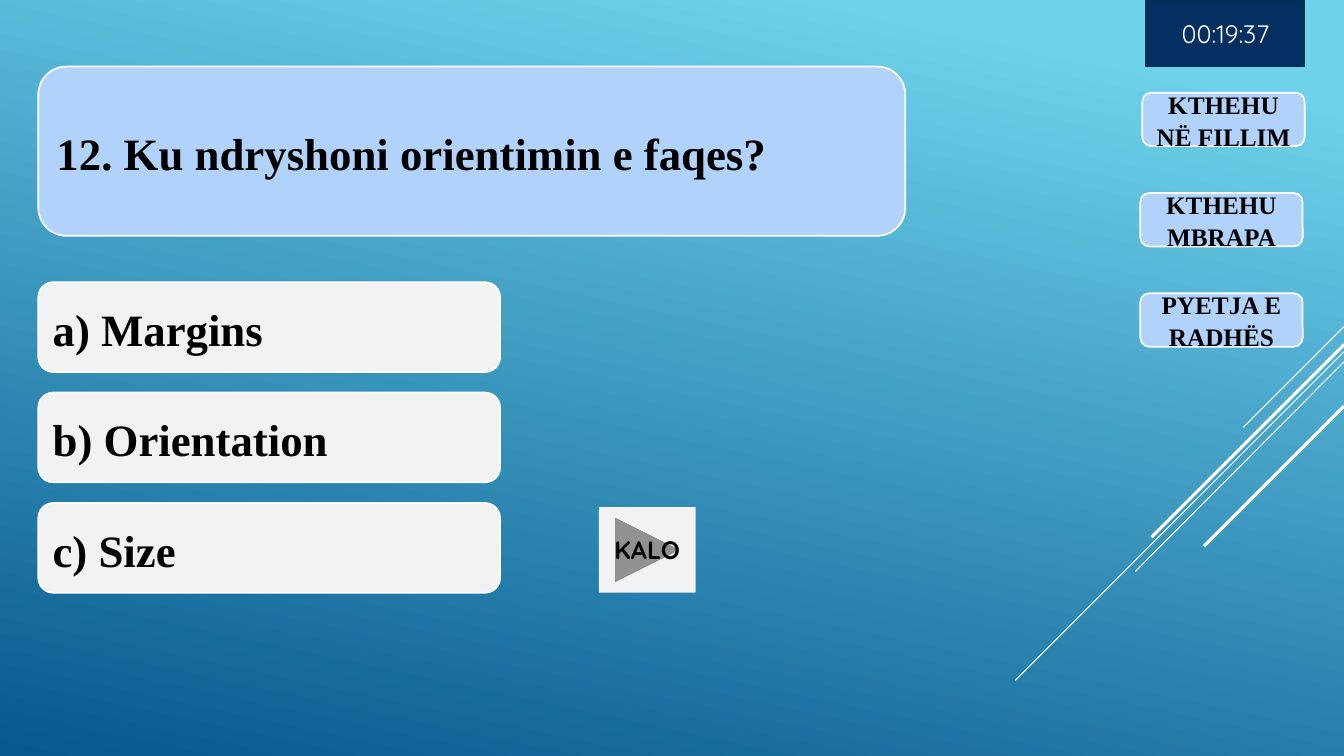
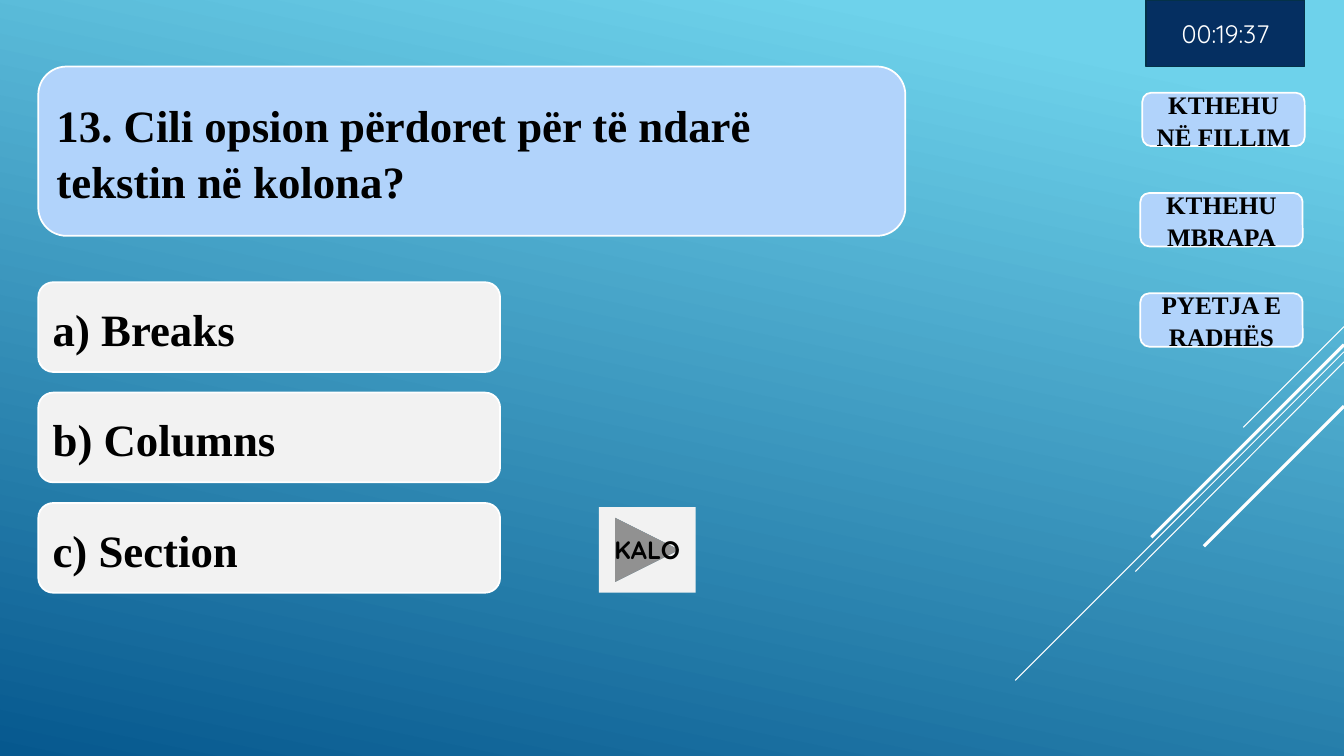
from lxml.etree import SubElement
from pptx import Presentation
from pptx.dml.color import RGBColor
from pptx.enum.shapes import MSO_CONNECTOR, MSO_SHAPE
from pptx.enum.text import MSO_ANCHOR, PP_ALIGN
from pptx.oxml.ns import qn
from pptx.util import Inches, Pt

WHITE, BLACK = "FFFFFF", "000000"
SKY, DEEP_BLUE = "6ED2EB", "06588E"
PALE_BLUE, PALE_GREY = "B1D3FB", "F2F2F2"
NAVY, NAVY_EDGE = "052F61", "043148"
SERIF, SANS = "Times New Roman", "Quicksand"

SLIDE_WIDTH, SLIDE_HEIGHT = 13.33, 7.5
LEFT_MARGIN = 0.38
ANSWER_TOP, ANSWER_STEP = 2.8, 1.095
NAV_TOP, NAV_STEP = 0.92, 0.995

# Start height at the right edge, end point, width in points
RAYS = [
    (3.24, 12.33, 4.24, 0.75),
    (3.49, 10.07, 6.75, 0.75),
    (3.59, 11.26, 5.67, 0.75),
    (3.42, 11.42, 5.33, 2.25),
    (4.03, 11.94, 5.42, 2.25),
]
NAVIGATION = [
    ("KTHEHU NË FILLIM", 11.33),
    ("KTHEHU MBRAPA", 11.31),
    ("PYETJA E RADHËS", 11.31),
]
QUESTIONS = [
    ("12. Ku ndryshoni orientimin e faqes?",
     ["a) Margins", "b) Orientation", "c) Size"]),
    ("13. Cili opsion përdoret për të ndarë tekstin në kolona?",
     ["a) Breaks", "b) Columns", "c) Section"]),
]


def rgb(value):
    return RGBColor.from_string(value)


def write(shape, text, size=18, font=SERIF, color=BLACK, bold=True,
          align=PP_ALIGN.CENTER, spacing=1.05):
    frame = shape.text_frame
    frame.word_wrap = True
    frame.vertical_anchor = MSO_ANCHOR.MIDDLE
    paragraph = frame.paragraphs[0]
    paragraph.alignment = align
    paragraph.line_spacing = spacing
    run = paragraph.add_run()
    run.text = text
    run.font.size = Pt(size)
    run.font.name = font
    run.font.bold = bold
    run.font.color.rgb = rgb(color)


def add_box(slide, box, text, fill, edge=WHITE,
            preset=MSO_SHAPE.ROUNDED_RECTANGLE, **text_format):
    shape = slide.shapes.add_shape(preset, *map(Inches, box))
    shape.shadow.inherit = False
    shape.fill.solid()
    shape.fill.fore_color.rgb = rgb(fill)
    if edge:
        shape.line.color.rgb = rgb(edge)
        shape.line.width = Pt(1.25)
    else:
        shape.line.fill.background()
    write(shape, text, **text_format)


def add_ray(slide, start_y, end_x, end_y, width):
    ray = slide.shapes.add_connector(
        MSO_CONNECTOR.STRAIGHT,
        *map(Inches, (SLIDE_WIDTH, start_y, end_x, end_y)))
    ray.line.color.rgb = rgb(WHITE)
    ray.line.width = Pt(width)
    SubElement(ray._element.spPr, qn("a:effectLst"))


def paint_background(slide):
    fill = slide.background.fill
    fill.gradient()
    fill.gradient_angle = 258
    for stop, (position, color) in zip(fill.gradient_stops,
                                       [(0.1, SKY), (1, DEEP_BLUE)]):
        stop.position = position
        stop.color.rgb = rgb(color)


def add_controls(slide):
    """Add the navigation buttons, the skip button and the timer."""
    for row, (label, left) in enumerate(NAVIGATION):
        add_box(slide, (left, NAV_TOP + row * NAV_STEP, 1.61, 0.53),
                label, PALE_BLUE)
    add_box(slide, (5.94, 5.03, 0.96, 0.85), "KALO", PALE_GREY, edge=None,
            preset=MSO_SHAPE.ACTION_BUTTON_FORWARD_OR_NEXT, font=SANS,
            spacing=1)
    add_box(slide, (11.37, 0, 1.57, 0.66), "00:19:37", NAVY, edge=NAVY_EDGE,
            preset=MSO_SHAPE.RECTANGLE, font=SANS, color=WHITE, bold=False,
            spacing=1)


def add_question_slide(prs, question, answers):
    slide = prs.slides.add_slide(prs.slide_layouts[6])
    paint_background(slide)
    for ray in RAYS:
        add_ray(slide, *ray)
    add_box(slide, (LEFT_MARGIN, 0.66, 8.6, 1.68), question, PALE_BLUE,
            size=32, align=PP_ALIGN.LEFT)
    for row, answer in enumerate(answers):
        add_box(slide,
                (LEFT_MARGIN, ANSWER_TOP + row * ANSWER_STEP, 4.58, 0.89),
                answer, PALE_GREY, size=32, align=PP_ALIGN.LEFT)
    add_controls(slide)


def main():
    prs = Presentation()
    prs.slide_width = Inches(SLIDE_WIDTH)
    prs.slide_height = Inches(SLIDE_HEIGHT)
    for question, answers in QUESTIONS:
        add_question_slide(prs, question, answers)
    prs.save("out.pptx")


if __name__ == "__main__":
    main()
